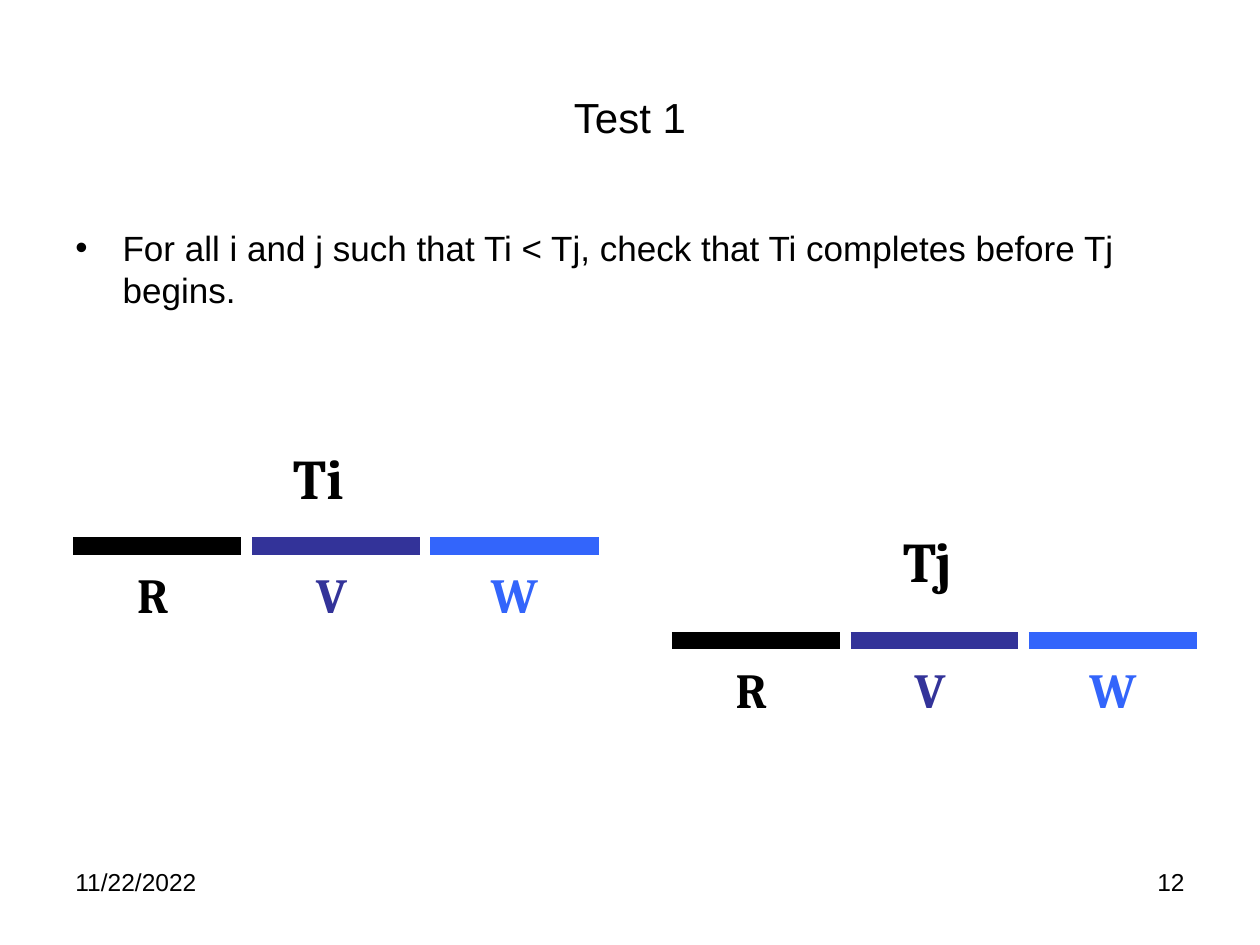
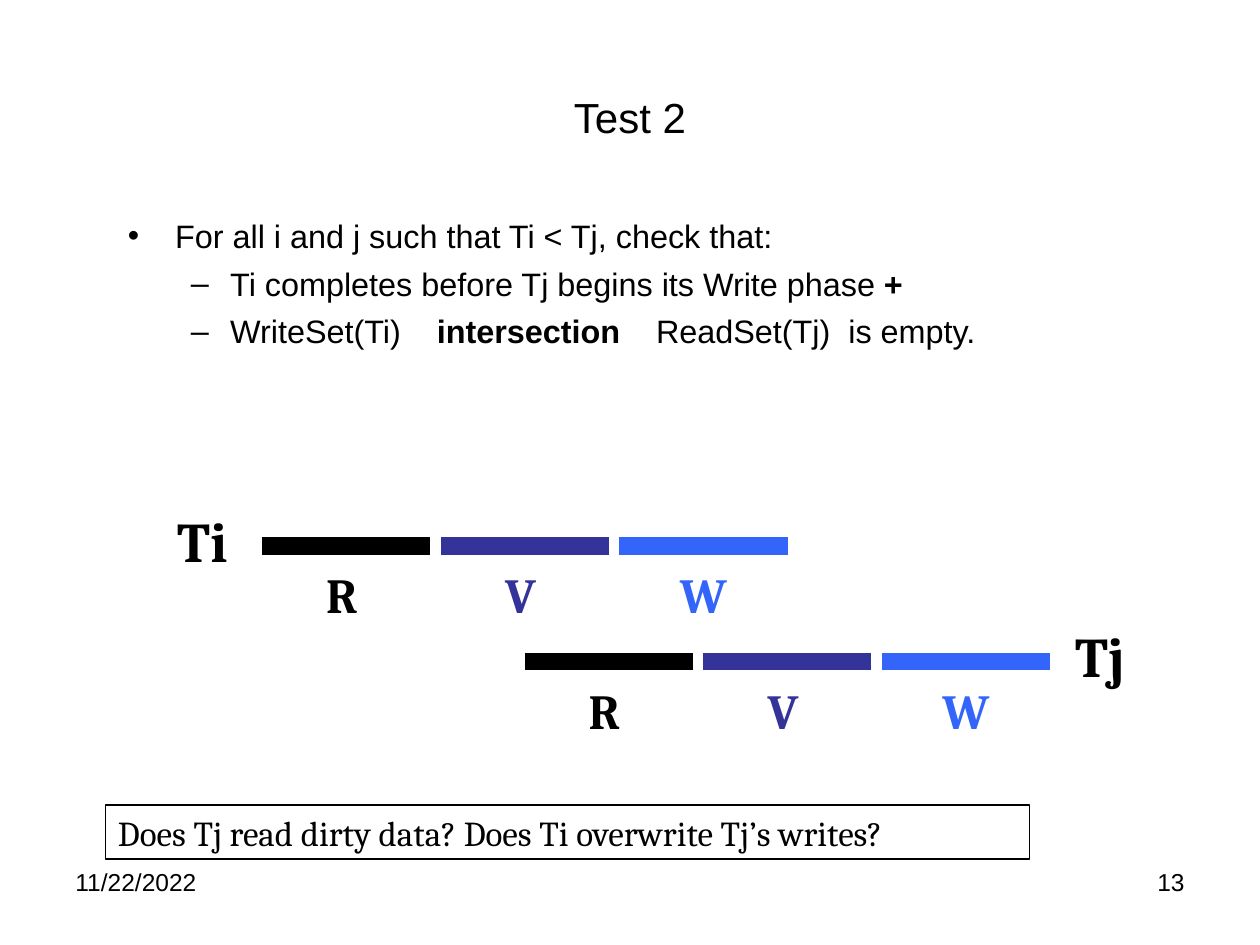
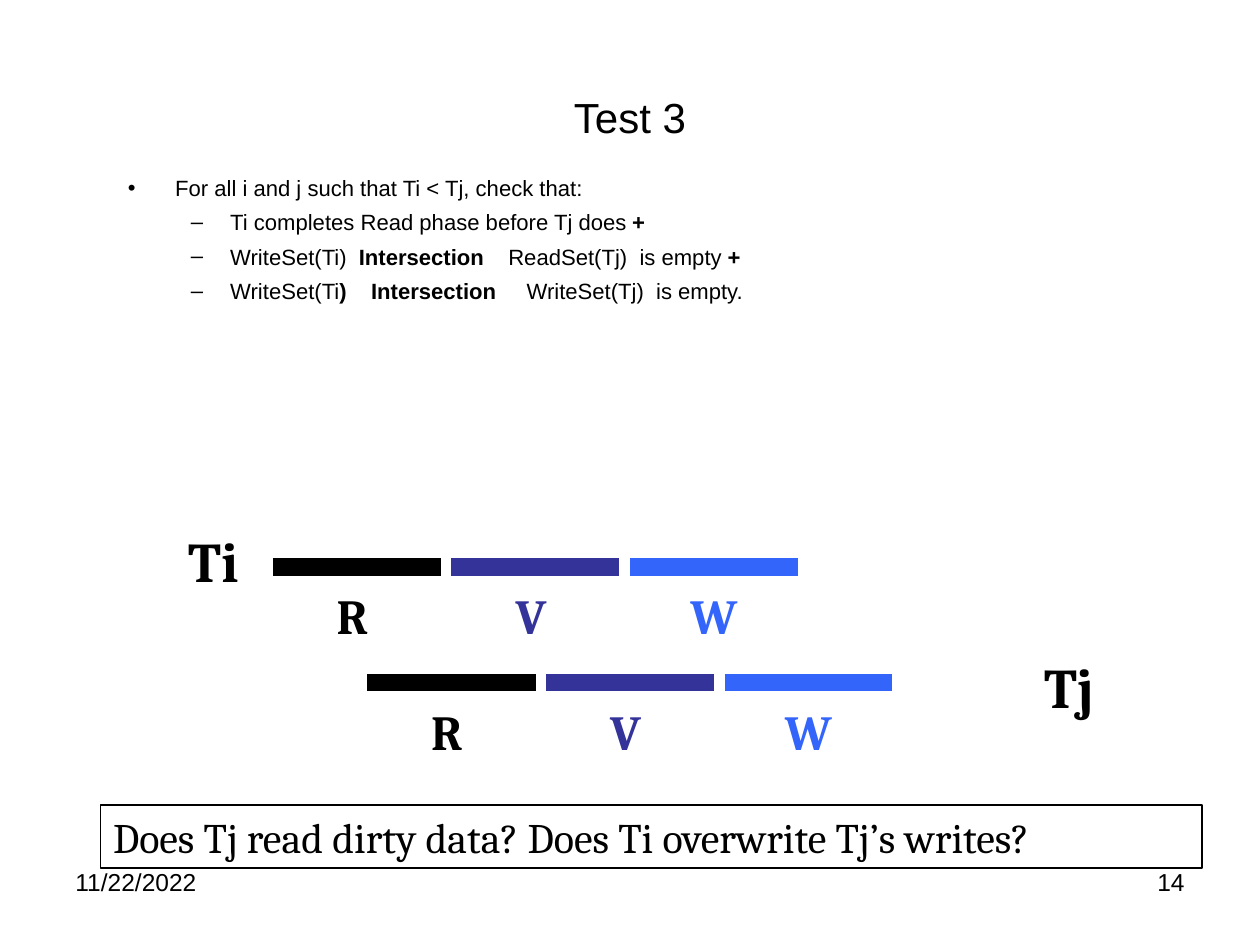
from dataclasses import dataclass

from lxml import etree
from pptx import Presentation
from pptx.dml.color import RGBColor
from pptx.enum.shapes import MSO_CONNECTOR, MSO_SHAPE
from pptx.enum.text import MSO_ANCHOR, PP_ALIGN
from pptx.oxml.ns import qn
from pptx.util import Pt

LEFT, CENTER, RIGHT = PP_ALIGN.LEFT, PP_ALIGN.CENTER, PP_ALIGN.RIGHT
TOP, MIDDLE = MSO_ANCHOR.TOP, MSO_ANCHOR.MIDDLE
STRAIGHT = MSO_CONNECTOR.STRAIGHT
RECTANGLE = MSO_SHAPE.RECTANGLE


@dataclass(frozen=True)
class Theme:
    black: str = "000000"
    indigo: str = "333399"
    blue: str = "3365FB"
    sans: str = "Arial"
    serif: str = "Cambria"
    title_size: float = 24
    footer_size: float = 14
    name_size: float = 32
    phase_size: float = 28


THEME = Theme()
PAGE_WIDTH, PAGE_HEIGHT = 720, 540
DATE = "11/22/2022"
QUESTION = "Does Tj read dirty data? Does Ti overwrite Tj’s writes?"

# Timeline bars: letter, colour, label offset from the bar start, label width
PHASES = [
    ("R", THEME.black, 29.3, 34.5),
    ("V", THEME.indigo, 29.5, 34),
    ("W", THEME.blue, 27.5, 44.5),
]
BAR_LENGTH, BAR_STEP, BAR_WEIGHT = 96, 102, 10
LABEL_DROP = 7.2

# Bullet character, left margin and hanging indent for each level
BULLETS = [("•", 27, -27), ("–", 58.5, -22.5)]

# Lines are (level, [(text, bold), ...]); transactions are
# (name, name left, name top, bars left, bars y)
TESTS = [
    {
        "title": "Test 1", "number": "12",
        "body": (36, 126, 648, 94), "size": 20, "gap": 5,
        "lines": [
            (0, [("For all i and j such that Ti < Tj, check that "
                  "Ti completes before Tj begins.", False)]),
        ],
        "transactions": [("Tj", 509, 297.5, 384, 366), ("Ti", 160.5, 250, 42, 312)],
        "question": None,
    },
    {
        "title": "Test 2", "number": "13",
        "body": (66, 120, 654, 84), "size": 18.5, "gap": 5,
        "lines": [
            (0, [("For all i and j such that Ti < Tj, check that:", False)]),
            (1, [("Ti completes before Tj begins its Write phase ", False), ("+", True)]),
            (1, [("WriteSet(Ti)    ", False), ("intersection  ", True),
                 ("  ReadSet(Tj)  is empty.", False)]),
        ],
        "transactions": [("Tj", 607.7, 351.5, 300, 378), ("Ti", 94.5, 286, 150, 312)],
        "question": (60.3, 460, 528, 31, 20),
    },
    {
        "title": "Test 3", "number": "14",
        "body": (66, 96, 654, 84), "size": 12.6, "gap": 4.5,
        "lines": [
            (0, [("For all i and j such that Ti < Tj, check that:", False)]),
            (1, [("Ti completes Read phase before Tj does ", False), ("+", True)]),
            (1, [("WriteSet(Ti)  ", False), ("Intersection  ", True),
                 ("  ReadSet(Tj)  is empty ", False), ("+", True)]),
            (1, [("WriteSet(Ti", False), (")    Intersection", True),
                 ("     WriteSet(Tj)  is empty.", False)]),
        ],
        "transactions": [("Tj", 590, 369.5, 210, 390), ("Ti", 100.5, 297.5, 156, 324)],
        "question": (57.5, 460, 629.5, 36, 24),
    },
]


# Text helpers
def set_values(target, values):
    for name, value in values.items():
        setattr(target, name, value)


def set_frame(frame, wrap=True, anchor=TOP):
    set_values(frame, {
        "word_wrap": wrap, "vertical_anchor": anchor,
        "margin_left": Pt(7.2), "margin_right": Pt(7.2),
        "margin_top": Pt(3.6), "margin_bottom": Pt(3.6),
    })


def add_span(para, text, size, font=THEME.sans, color=THEME.black, bold=False):
    span = para.add_run()
    span.text = text
    set_values(span.font, {"name": font, "size": Pt(size), "bold": bold})
    span.font.color.rgb = RGBColor.from_string(color)


def add_text(page, bounds, text, size, align=LEFT, wrap=True, anchor=TOP, **style):
    box = page.shapes.add_textbox(*map(Pt, bounds))
    set_frame(box.text_frame, wrap, anchor)
    para = box.text_frame.paragraphs[0]
    para.alignment = align
    add_span(para, text, size, **style)


def set_bullet(para, level):
    mark, margin, indent = BULLETS[level]
    para.level = level
    properties = para._p.get_or_add_pPr()
    properties.set("marL", str(Pt(margin)))
    properties.set("indent", str(Pt(indent)))
    etree.SubElement(properties, qn("a:buFont"), typeface=THEME.sans)
    etree.SubElement(properties, qn("a:buChar"), char=mark)


# Slide parts
def add_frame(page, title, number):
    add_text(page, (36, 492, 168, 37.5), DATE, THEME.footer_size)
    add_text(page, (516, 492, 168, 37.5), number, THEME.footer_size, align=RIGHT)
    add_text(page, (36, 21.5, 648, 90), title, THEME.title_size,
             align=CENTER, anchor=MIDDLE)


def add_bullets(page, bounds, lines, size, gap):
    frame = page.shapes.add_textbox(*map(Pt, bounds)).text_frame
    set_frame(frame)
    for index, (level, spans) in enumerate(lines):
        para = frame.add_paragraph() if index else frame.paragraphs[0]
        para.space_before = Pt(gap)
        set_bullet(para, level)
        for text, bold in spans:
            add_span(para, text, size, bold=bold)


def add_bar(page, left, y, color):
    bar = page.shapes.add_connector(STRAIGHT, Pt(left), Pt(y), Pt(left + BAR_LENGTH), Pt(y))
    bar.line.width = Pt(BAR_WEIGHT)
    bar.line.color.rgb = RGBColor.from_string(color)
    etree.SubElement(bar._element.spPr, qn("a:effectLst"))


def add_transaction(page, name, name_left, name_top, left, y):
    add_text(page, (name_left, name_top, 47, 45.5), name, THEME.name_size,
             wrap=False, font=THEME.serif, bold=True)
    for index, (letter, color, offset, width) in enumerate(PHASES):
        start = left + index * BAR_STEP
        add_bar(page, start, y, color)
        add_text(page, (start + offset, y + LABEL_DROP, width, 41), letter,
                 THEME.phase_size, wrap=False, font=THEME.serif, color=color, bold=True)


def add_question(page, left, top, width, height, size):
    box = page.shapes.add_shape(RECTANGLE, *map(Pt, (left, top, width, height)))
    box.shadow.inherit = False
    box.fill.background()
    box.line.width = Pt(1)
    box.line.color.rgb = RGBColor.from_string(THEME.black)
    set_frame(box.text_frame)
    para = box.text_frame.paragraphs[0]
    para.alignment = LEFT
    add_span(para, QUESTION, size, font=THEME.serif)


def main():
    deck = Presentation()
    deck.slide_width, deck.slide_height = Pt(PAGE_WIDTH), Pt(PAGE_HEIGHT)
    for test in TESTS:
        page = deck.slides.add_slide(deck.slide_layouts[6])
        add_frame(page, test["title"], test["number"])
        add_bullets(page, test["body"], test["lines"], test["size"], test["gap"])
        for transaction in test["transactions"]:
            add_transaction(page, *transaction)
        if test["question"]:
            add_question(page, *test["question"])
    deck.save("out.pptx")


if __name__ == "__main__":
    main()
